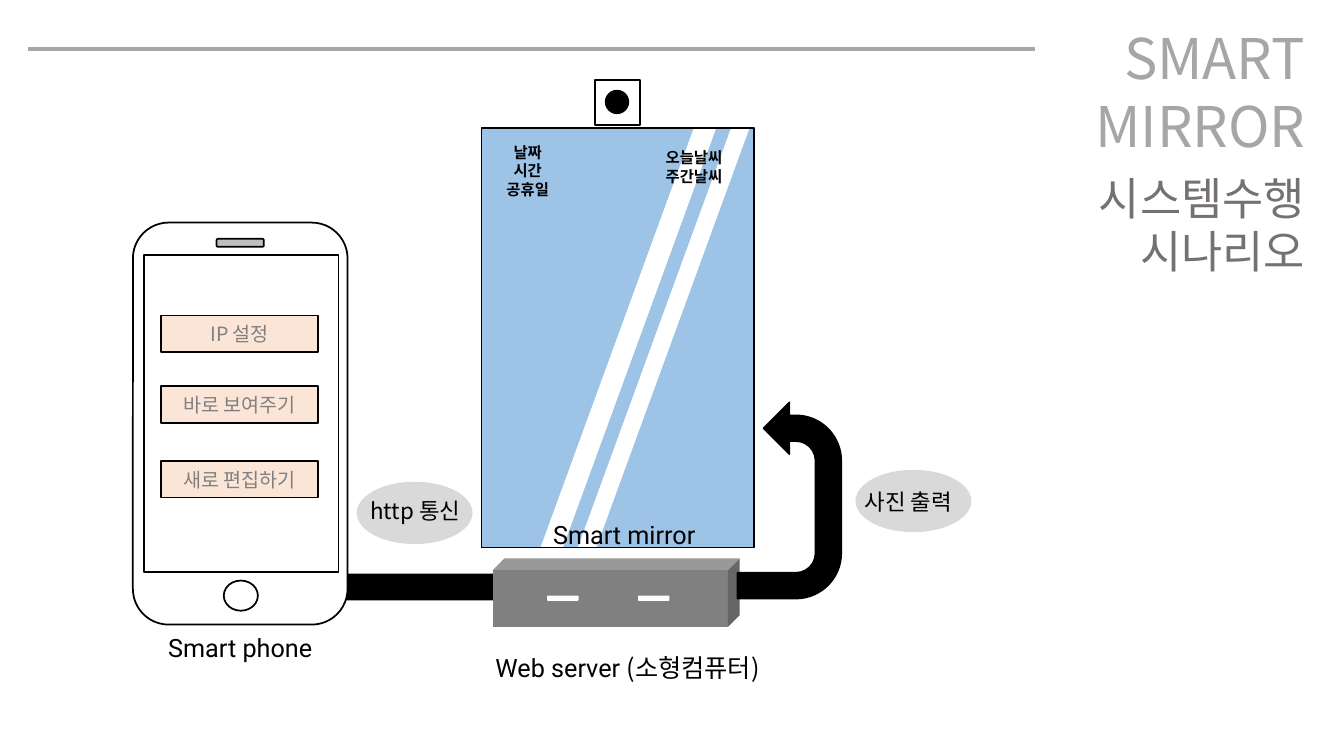
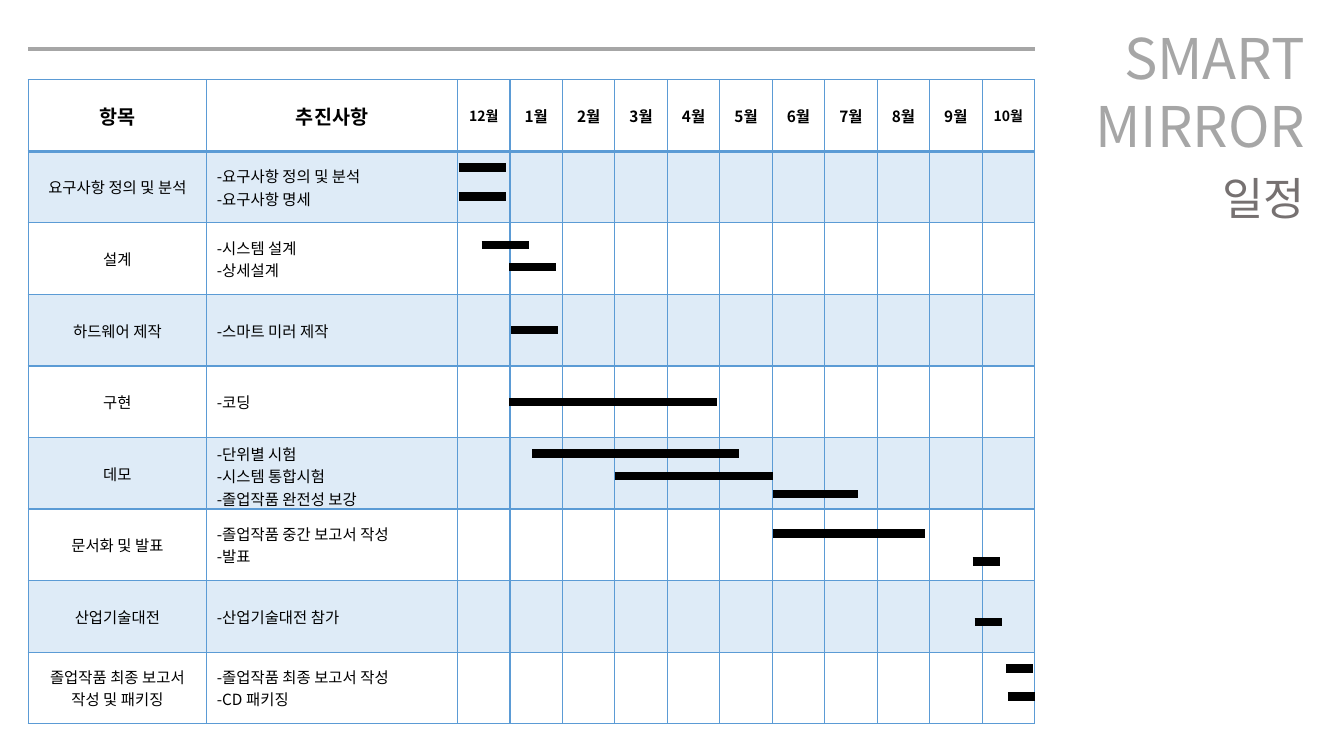
from lxml import etree
from pptx import Presentation
from pptx.dml.color import RGBColor
from pptx.enum.shapes import MSO_CONNECTOR, MSO_SHAPE
from pptx.enum.text import MSO_ANCHOR, PP_ALIGN
from pptx.oxml.ns import qn
from pptx.util import Cm, Pt

LEFT, MID, RIGHT = PP_ALIGN.LEFT, PP_ALIGN.CENTER, PP_ALIGN.RIGHT
TOP, MIDDLE = MSO_ANCHOR.TOP, MSO_ANCHOR.MIDDLE
STRAIGHT = MSO_CONNECTOR.STRAIGHT
RECT, ROUND, OVAL = MSO_SHAPE.RECTANGLE, MSO_SHAPE.ROUNDED_RECTANGLE, MSO_SHAPE.OVAL
CUBE, SLANT = MSO_SHAPE.CUBE, MSO_SHAPE.PARALLELOGRAM
ARROW, UTURN = MSO_SHAPE.RIGHT_ARROW, MSO_SHAPE.U_TURN_ARROW

KOREAN, LATIN = "Noto Sans CJK KR", "Roboto"
BLACK, WHITE = "000000", "FFFFFF"
SILVER, STONE, GRAY, PALE = "A6A6A6", "767171", "808080", "D9D9D9"
SKY, PEACH, GRID, BAND = "9DC3E6", "FBE5D6", "5B9BD5", "DEEBF7"

MARGIN, WIDTH = 0.71, 25.37  # left edge and width of the content area


def rgb(code):
    return RGBColor.from_string(code)


def write(frame, lines, size=11, color=BLACK, font=KOREAN, bold=False, align=MID):
    """Fill a text frame; a line is a string or a list of (text, font)."""
    for i, line in enumerate(lines):
        para = frame.paragraphs[0] if i == 0 else frame.add_paragraph()
        para.alignment = align
        for text, face in [(line, font)] if isinstance(line, str) else line:
            run = para.add_run()
            run.text = text
            run.font.size, run.font.bold = Pt(size), bold
            run.font.name = face
            run.font.color.rgb = rgb(color)
            east = etree.SubElement(run.font._element, qn("a:ea"))
            east.set("typeface", face)


def edge(side, width):
    """Make one border of a table cell."""
    line = etree.Element(qn("a:ln" + side), w=str(Pt(width)))
    fill = etree.SubElement(line, qn("a:solidFill"))
    etree.SubElement(fill, qn("a:srgbClr"), val=GRID)
    return line


class Deck:
    def __init__(self):
        self.show = Presentation()
        self.show.slide_width, self.show.slide_height = Cm(33.87), Cm(19.05)
        self.slide = None

    def page(self, *topic):
        """Start a slide with the rule and titles that all slides share."""
        self.slide = self.show.slides.add_slide(self.show.slide_layouts[6])
        self.text(24.05, 0.48, 9.09, 3.68, "SMART", "MIRROR",
                  size=40, color=SILVER, align=RIGHT)
        self.line(MARGIN, MARGIN + WIDTH, 1.24, SILVER, 3)
        self.text(24.05, 4.17, 9.09, 1.5 * len(topic), *topic,
                  size=32, color=STONE, align=RIGHT)

    def text(self, x, y, w, h, *lines, wrap=True, **style):
        box = self.slide.shapes.add_textbox(Cm(x), Cm(y), Cm(w), Cm(h))
        box.text_frame.word_wrap = wrap
        box.text_frame.vertical_anchor = TOP
        write(box.text_frame, lines, **style)

    def line(self, x1, x2, y, color=BLACK, width=6):
        bar = self.slide.shapes.add_connector(STRAIGHT, Cm(x1), Cm(y), Cm(x2), Cm(y))
        bar.line.color.rgb, bar.line.width = rgb(color), Pt(width)
        etree.SubElement(bar._element.spPr, qn("a:effectLst"))

    def shape(self, kind, x, y, w, h, fill=None, line=None, width=1.25, adj=None):
        form = self.slide.shapes.add_shape(kind, Cm(x), Cm(y), Cm(w), Cm(h))
        form.shadow.inherit = False
        if fill:
            form.fill.solid()
            form.fill.fore_color.rgb = rgb(fill)
        else:
            form.fill.background()
        if line:
            form.line.color.rgb, form.line.width = rgb(line), Pt(width)
        else:
            form.line.fill.background()
        if adj is not None:
            form.adjustments[0] = adj
        return form

    def table(self, x, y, widths, height, count):
        frame = self.slide.shapes.add_table(
            count, len(widths), Cm(x), Cm(y), Cm(sum(widths)), Cm(height))
        grid = frame.table
        grid.first_row = grid.horz_banding = False
        for col, width in zip(grid.columns, widths):
            col.width = Cm(width)
        for row in grid.rows:
            row.height = Cm(height / count)
        return grid

    def cell(self, grid, r, c, lines, **style):
        cell = grid.cell(r, c)
        cell.vertical_anchor = MIDDLE
        if r % 2:
            cell.fill.solid()
            cell.fill.fore_color.rgb = rgb(BAND)
        else:
            cell.fill.background()
        if len(lines) > 2:
            cell.margin_bottom = 0
        write(cell.text_frame, lines, **style)
        sides = {"L": 1, "R": 1, "T": 2 if r == 1 else 1, "B": 2 if r == 0 else 1}
        for i, (side, width) in enumerate(sides.items()):
            cell._tc.get_or_add_tcPr().insert(i, edge(side, width))


def scene(deck):
    deck.page("시스템수행", "시나리오")

    # Link, captions and server
    deck.shape(ARROW, 8.38, 14.12, 4.95, 1.35, BLACK)
    deck.shape(OVAL, 21.56, 11.84, 2.92, 1.57, PALE)
    deck.text(3.35, 15.8, 5.41, 1.02, "Smart phone", size=18, font=LATIN)
    deck.text(11.79, 16.31, 8.05, 1.02,
              [("Web server ", LATIN), ("(소형컴퓨터)", KOREAN)], size=18)
    deck.shape(OVAL, 8.99, 12.14, 2.92, 1.57, PALE)
    deck.shape(CUBE, 12.42, 14.07, 6.22, 1.73, GRAY, adj=0.17)
    for x in (13.79, 16.08):
        deck.shape(ROUND, x, 15.01, 0.79, 0.13, WHITE)

    # Mirror with two streaks of light
    glass = (12.14, 3.23, 6.86, 10.57)
    deck.shape(RECT, *glass, SKY, SKY, 1)
    for x, w, adj in ((13.64, 4.39, 0.88), (14.58, 4.29, 0.9)):
        deck.shape(SLANT, x, 3.23, w, 10.57, WHITE, WHITE, 1, adj)
    deck.text(13.69, 12.95, 4.34, 1.02, "Smart mirror", size=18, font=LATIN, align=LEFT)
    deck.text(12.45, 3.48, 1.7, 1.68, "날짜", "시간", "공휴일", bold=True)

    # Phone
    deck.shape(ROUND, 3.35, 5.61, 5.41, 10.13, WHITE, BLACK)
    deck.shape(RECT, 3.63, 6.43, 4.9, 7.98, None, BLACK)
    deck.shape(OVAL, 5.64, 14.63, 0.86, 0.76, WHITE, BLACK)
    deck.shape(ROUND, 5.46, 6.02, 1.19, 0.2, "BFBFBF", BLACK)
    for y, label in ((7.95, "IP 설정"), (9.73, "바로 보여주기"), (11.61, "새로 편집하기")):
        key = deck.shape(RECT, 4.06, y, 3.96, 0.93, PEACH, BLACK)
        key.text_frame.vertical_anchor = MIDDLE
        write(key.text_frame, [label], size=14, color=GRAY)

    # Camera
    deck.shape(RECT, 14.99, 2.01, 1.14, 1.14, None, BLACK, 1.5)
    deck.shape(OVAL, 15.27, 2.29, 0.56, 0.56, BLACK, BLACK, 1.5)

    # Labels, mirror frame and return arrow
    deck.text(21.54, 12.17, 3.15, 0.91, "사진 출력", size=16, align=LEFT)
    deck.text(16.36, 3.61, 2.26, 1.19, "오늘날씨", "주간날씨", bold=True)
    deck.text(8.99, 12.4, 2.95, 0.94, "http 통신", size=16, wrap=False)
    deck.shape(RECT, *glass, None, BLACK, 1)
    turn = deck.shape(UTURN, 17.42, 11.3, 4.95, 2.62, BLACK, BLACK, 1)
    turn.rotation = 90
    turn._element.spPr.xfrm.set("flipH", "1")


TASKS = [
    ("요구사항 정의 및 분석", ["-요구사항 정의 및 분석", "-요구사항 명세"]),
    ("설계", ["-시스템 설계", "-상세설계"]),
    ("하드웨어 제작", ["-스마트 미러 제작"]),
    ("구현", ["-코딩"]),
    ("데모", ["-단위별 시험", "-시스템 통합시험", "-졸업작품 완전성 보강"]),
    ("문서화 및 발표", ["-졸업작품 중간 보고서 작성", "-발표"]),
    ("산업기술대전", ["-산업기술대전 참가"]),
    ("졸업작품 최종 보고서 작성 및 패키징", ["-졸업작품 최종 보고서 작성", "-CD 패키징"]),
]
MONTHS = [12, *range(1, 11)]
BARS = [  # start, end, height on the slide
    (11.56, 12.75, 4.22), (11.56, 12.75, 4.95),
    (12.14, 13.34, 6.17), (12.83, 14.02, 6.73),
    (12.88, 14.07, 8.31),
    (12.83, 18.06, 10.13),
    (13.41, 18.62, 11.43), (15.49, 19.48, 11.99), (19.48, 21.62, 12.45),
    (19.48, 23.32, 13.44), (24.51, 25.2, 14.15),
    (24.56, 25.25, 15.67),
    (25.35, 26.04, 16.84), (25.4, 26.09, 17.55),
]


def plan(deck):
    deck.page("일정")

    # Table
    heads = [4.5, 6.32]
    month = (WIDTH - sum(heads)) / len(MONTHS)
    grid = deck.table(MARGIN, 2.01, heads + [month] * len(MONTHS), 16.23, len(TASKS) + 1)
    for c, label in enumerate(("항목", "추진사항")):
        deck.cell(grid, 0, c, [label], size=14, bold=True)
    for c, num in enumerate(MONTHS, 2):
        deck.cell(grid, 0, c, [f"{num}월"], size=10 if num > 9 else 11, bold=True)
    for r, (item, steps) in enumerate(TASKS, 1):
        deck.cell(grid, r, 0, [item])
        deck.cell(grid, r, 1, steps, align=LEFT)
        for c in range(2, len(MONTHS) + 2):
            deck.cell(grid, r, c, [])

    # Time bars
    for bar in BARS:
        deck.line(*bar)


def main():
    deck = Deck()
    scene(deck)
    plan(deck)
    deck.show.save("out.pptx")


if __name__ == "__main__":
    main()
